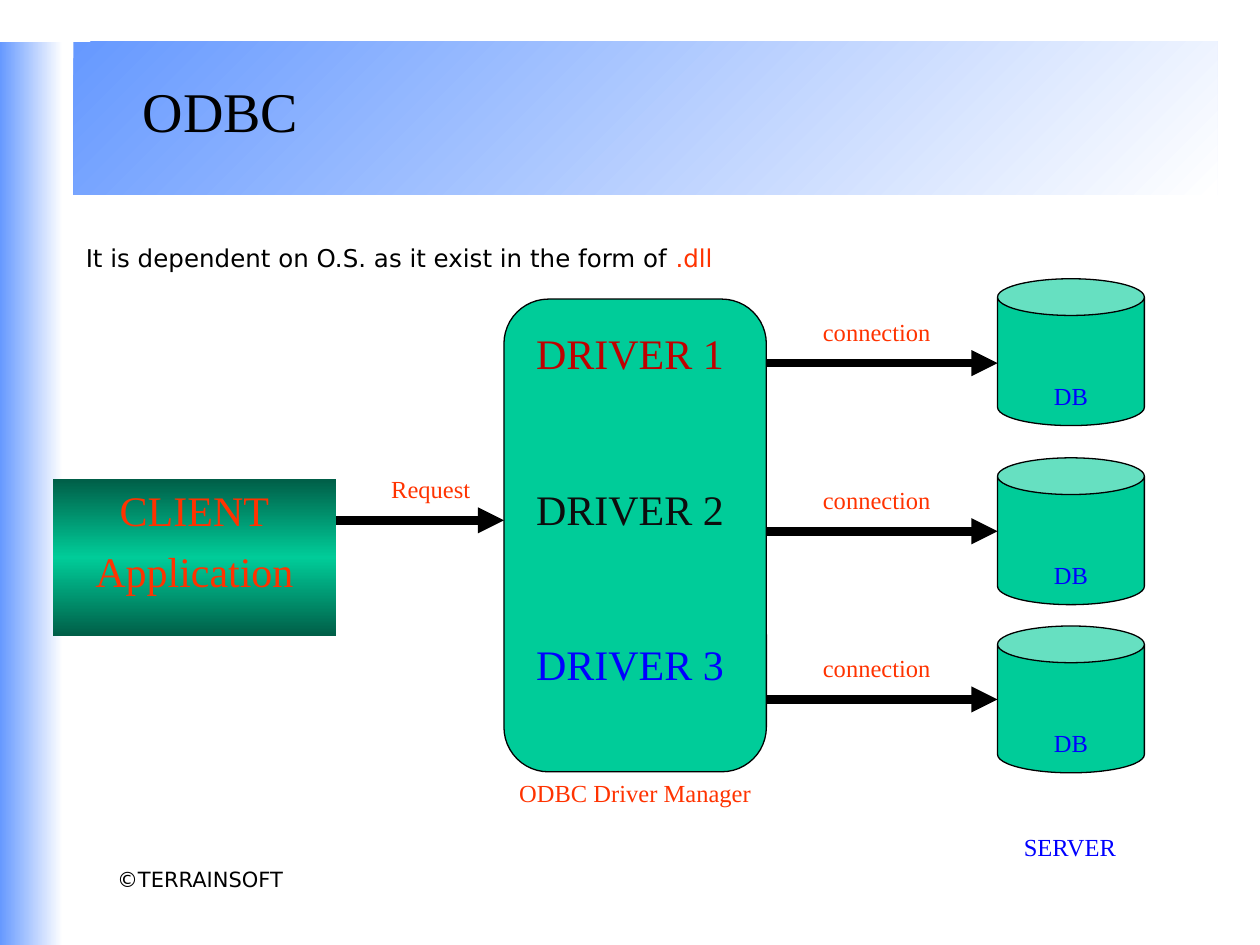
"""Build the ODBC architecture slide: client, driver manager and database servers."""
import copy
from dataclasses import dataclass

import lxml.etree
import pptx
import pptx.dml.color
import pptx.enum.dml
import pptx.enum.shapes
import pptx.enum.text
import pptx.oxml.ns
import pptx.util

Cm = pptx.util.Cm
Pt = pptx.util.Pt
Shapes = pptx.enum.shapes.MSO_SHAPE
Align = pptx.enum.text.PP_ALIGN
Anchor = pptx.enum.text.MSO_ANCHOR

SERIF, SANS = "Times New Roman", "DejaVu Sans"
BLACK, RED, BLUE, GREEN, DARK_GREEN = "000000", "FF3300", "0000FF", "00CC99", "005E47"
SKY, WHITE = "6699FF", "FFFFFF"


@dataclass(frozen=True)
class Box:
    left: float
    top: float
    width: float
    height: float

    @property
    def right(self) -> float:
        return self.left + self.width

    def lengths(self) -> list:
        return [Cm(value) for value in (self.left, self.top, self.width, self.height)]


@dataclass(frozen=True)
class Run:
    text: str
    color: str = BLACK
    size: int = 14
    font: str = SERIF


@dataclass(frozen=True)
class Label:
    box: Box
    runs: tuple
    align: Align = Align.CENTER
    anchor: Anchor = Anchor.TOP


@dataclass(frozen=True)
class Server:
    can_top: float
    arrow_y: float


@dataclass(frozen=True)
class Panel:
    box: Box
    colors: tuple
    angle: int


LINE_HEIGHT = 0.86
CLIENT = Box(1.06, 9.65, 5.72, 3.18)
MANAGER = Box(10.16, 6.03, 5.29, 9.53)
CAN_LEFT, CAN_SIZE = 20.11, 2.96
REQUEST_Y = 10.49
SERVERS = (Server(5.62, 7.32), Server(9.23, 10.71), Server(12.62, 14.1))
PANELS = (
    Panel(Box(1.48, 0.84, 23.07, 3.09), (SKY, WHITE), 45),
    Panel(Box(0, 0.84, 1.27, 18.21), (SKY, WHITE), 0),
)
CLIENT_PANEL = Panel(CLIENT, (DARK_GREEN, GREEN, DARK_GREEN), 90)
LABELS = (
    Label(Box(2.11, 17.35, 5.72, 1.07), (Run("©TERRAINSOFT", size=12, font=SANS),), Align.LEFT),
    Label(Box(1.27, 1.69, 6.35, 1.07), (Run("ODBC", size=32),), anchor=Anchor.MIDDLE),
    Label(Box(6.99, 9.44, 3.39, LINE_HEIGHT), (Run("Request", RED),)),
    Label(Box(8.89, 15.56, 7.83, LINE_HEIGHT), (Run("ODBC Driver Manager", RED),)),
    Label(Box(20.39, 16.64, 3.5, LINE_HEIGHT), (Run("SERVER", BLUE),), Align.LEFT),
    Label(
        Box(1.48, 4.78, 23.92, LINE_HEIGHT),
        (
            Run("It is dependent on O.S. as it exist in the form of ", font=SANS),
            Run(".dll", RED, font=SANS),
        ),
        Align.LEFT,
    ),
)
CLIENT_LINES = (Run("CLIENT", RED, 24), Run("Application", RED, 24))
DRIVERS = (Run("DRIVER 1", "C00000", 24), Run("DRIVER 2", "0D0D0D", 24), Run("DRIVER 3", BLUE, 24))


def rgb(color: str) -> pptx.dml.color.RGBColor:
    return pptx.dml.color.RGBColor.from_string(color)


def write_lines(shape, lines, gap: float = 0, align=Align.CENTER, anchor=Anchor.TOP) -> None:
    frame = shape.text_frame
    frame.word_wrap = True
    frame.vertical_anchor = anchor
    for index, runs in enumerate(lines):
        paragraph = frame.add_paragraph() if index else frame.paragraphs[0]
        paragraph.alignment = align
        if index:
            paragraph.space_before = Pt(gap)
        for item in runs:
            run = paragraph.add_run()
            run.text = item.text
            run.font.name = item.font
            run.font.size = Pt(item.size)
            run.font.color.rgb = rgb(item.color)


def add_label(slide, label: Label) -> None:
    shape = slide.shapes.add_textbox(*label.box.lengths())
    write_lines(shape, [label.runs], align=label.align, anchor=label.anchor)


def add_panel(slide, panel: Panel):
    shape = slide.shapes.add_shape(Shapes.RECTANGLE, *panel.box.lengths())
    shape.shadow.inherit = False
    shape.line.fill.background()
    shape.fill.gradient()
    shape.fill.gradient_angle = -panel.angle % 360
    stop_list = shape._element.spPr.find(".//" + pptx.oxml.ns.qn("a:gsLst"))
    for _ in panel.colors[2:]:
        stop_list.append(copy.deepcopy(stop_list[-1]))
    last = len(panel.colors) - 1
    for index, (stop, color) in enumerate(zip(shape.fill.gradient_stops, panel.colors)):
        stop.position = index / last
        stop.color.rgb = rgb(color)
    return shape


def add_solid(slide, kind, box: Box, adjustment: float) -> None:
    shape = slide.shapes.add_shape(kind, *box.lengths())
    shape.shadow.inherit = False
    shape.adjustments[0] = adjustment
    shape.fill.solid()
    shape.fill.fore_color.rgb = rgb(GREEN)
    shape.line.color.rgb = rgb(BLACK)
    shape.line.width = Pt(0.75)


def add_arrow(slide, start: float, end: float, y: float) -> None:
    arrow = slide.shapes.add_connector(
        pptx.enum.shapes.MSO_CONNECTOR.STRAIGHT, Cm(start), Cm(y), Cm(end), Cm(y)
    )
    arrow.line.color.rgb = rgb(BLACK)
    arrow.line.width = Pt(5)
    qn = pptx.oxml.ns.qn
    lxml.etree.SubElement(arrow.line._get_or_add_ln(), qn("a:tailEnd"), type="triangle")
    lxml.etree.SubElement(arrow._element.spPr, qn("a:effectLst"))


def add_server(slide, server: Server) -> None:
    add_solid(slide, Shapes.CAN, Box(CAN_LEFT, server.can_top, CAN_SIZE, CAN_SIZE), 0.25)
    name_box = Box(CAN_LEFT, server.can_top + 1.93, CAN_SIZE, LINE_HEIGHT)
    add_label(slide, Label(name_box, (Run("DB", BLUE),)))
    add_arrow(slide, MANAGER.right, CAN_LEFT, server.arrow_y)
    link_box = Box(MANAGER.right, server.arrow_y - 1.06, 4.45, LINE_HEIGHT)
    add_label(slide, Label(link_box, (Run("connection", RED),)))


def main() -> None:
    presentation = pptx.Presentation()
    presentation.slide_width, presentation.slide_height = Cm(25.4), Cm(19.05)
    slide = presentation.slides.add_slide(presentation.slide_layouts[6])
    for panel in PANELS:
        add_panel(slide, panel)
    client = add_panel(slide, CLIENT_PANEL)
    write_lines(client, [(run,) for run in CLIENT_LINES], gap=6)
    add_solid(slide, Shapes.ROUNDED_RECTANGLE, MANAGER, 0.17)
    drivers = slide.shapes.add_textbox(*Box(MANAGER.left, 6.48, 5.08, 7.47).lengths())
    write_lines(drivers, [(run,) for run in DRIVERS], gap=60)
    add_arrow(slide, CLIENT.right, MANAGER.left, REQUEST_Y)
    for server in SERVERS:
        add_server(slide, server)
    for label in LABELS:
        add_label(slide, label)
    presentation.save("out.pptx")


if __name__ == "__main__":
    main()
